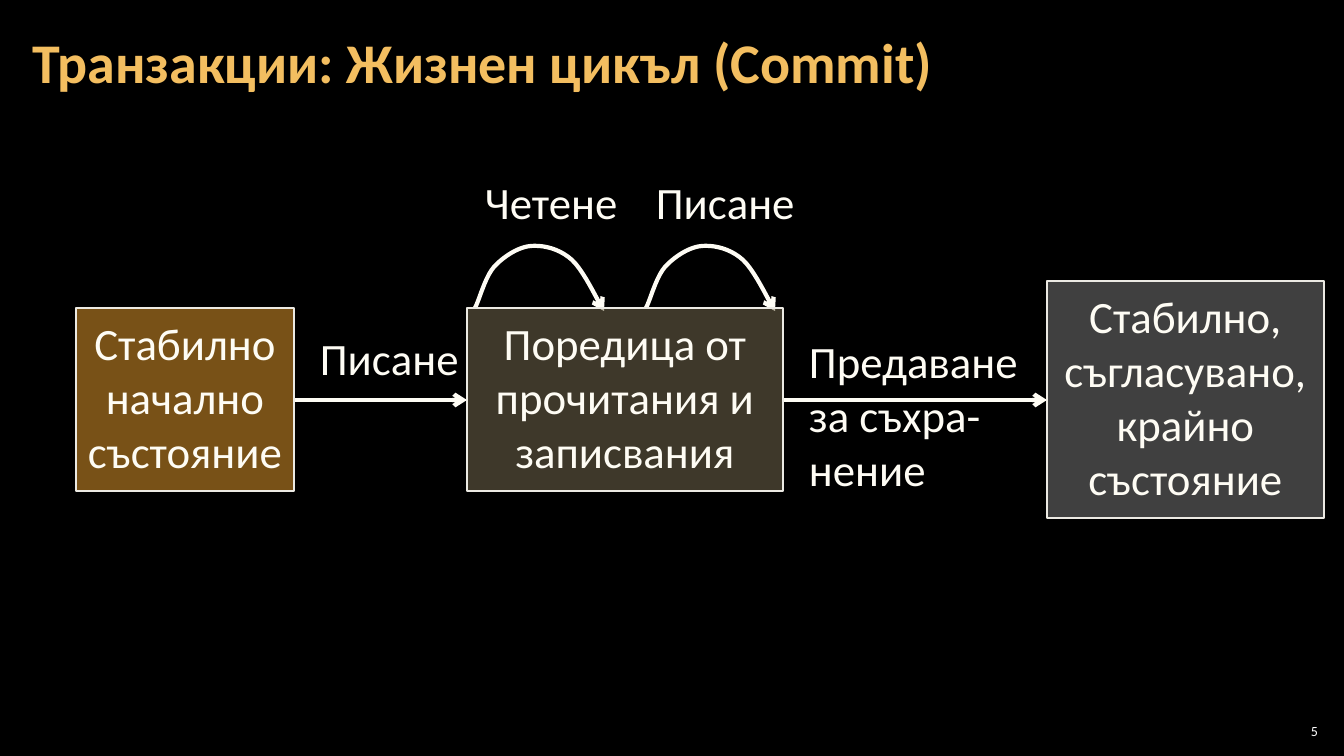
from lxml.etree import SubElement
from pptx import Presentation
from pptx.dml.color import RGBColor
from pptx.enum.shapes import MSO_CONNECTOR, MSO_SHAPE
from pptx.enum.text import MSO_ANCHOR, MSO_AUTO_SIZE, PP_ALIGN
from pptx.oxml.ns import qn
from pptx.util import Pt

PX = 914400 / 100.8
FONT = "Calibri"
COLORS = {
    "background": "000000",
    "title": "F3BE60",
    "text": "FEFCF4",
    "border": "ECEAE3",
    "number": "FFFFFF",
    "initial": "F0A22E",
    "operations": "7C7154",
    "final": "808080",
}

TITLE = "Транзакции: Жизнен цикъл (Commit)"
SLIDE_NUMBER = "5"
STATES = [
    ("initial", ["Стабилно начално състояние"], (76, 308, 218, 183), 10),
    ("final", ["Стабилно,", "съгласувано,", "крайно състояние"], (1047, 281, 277, 237), 12),
    ("operations", ["Поредица от прочитания и записвания"], (467, 308, 316, 183), 10),
]
LABELS = [
    ("Предаване\nза съхра-\nнение", (799, 329, 231, 173)),
    ("Четене", (475, 170, 154, 65)),
    ("Писане", (646, 170, 160, 65)),
    ("Писане", (310, 326, 160, 65)),
]
ARROW_Y = 400
ARROWS = [(294, 467), (783, 1047)]
LOOP_Y = 308
LOOP_STARTS = [475, 646]
LOOP_CURVES = [
    ((0, 0), (4, -7), (10, -31), (19, -41)),
    ((19, -41), (28, -51), (43, -61), (56, -62)),
    ((56, -62), (69, -63), (85, -59), (97, -48)),
    ((97, -48), (109, -37), (122, -8), (129, 3)),
]
CURVE_STEPS = 10


def px(*lengths):
    return [round(length * PX) for length in lengths]


def color(name):
    return RGBColor.from_string(COLORS[name])


def set_insets(frame, left, top, right, bottom):
    frame.margin_left, frame.margin_top, frame.margin_right, frame.margin_bottom = px(
        left, top, right, bottom
    )


def write(frame, lines, size=32, color_name="text", align=PP_ALIGN.LEFT, bold=False):
    for index, line in enumerate(lines):
        paragraph = frame.add_paragraph() if index else frame.paragraphs[0]
        paragraph.text = line
        paragraph.alignment = align
        paragraph.font.name = FONT
        paragraph.font.size = Pt(size)
        paragraph.font.bold = bold
        paragraph.font.color.rgb = color(color_name)


def style_arrow(shape):
    shape.line.color.rgb = color("text")
    shape.line.width = Pt(3)
    SubElement(shape.line._get_or_add_ln(), qn("a:tailEnd"), type="arrow")


def add_title(slide):
    title = slide.shapes.title
    title.left, title.top, title.width, title.height = px(21, 4, 1055, 122)
    frame = title.text_frame
    frame.word_wrap = True
    frame.auto_size = MSO_AUTO_SIZE.NONE
    frame.vertical_anchor = MSO_ANCHOR.MIDDLE
    set_insets(frame, 12, 4, 12, 4)
    write(frame, [TITLE], 40, "title", bold=True)
    frame.paragraphs[0].line_spacing = 0.9


def add_label(slide, text, box):
    frame = slide.shapes.add_textbox(*px(*box)).text_frame
    frame.word_wrap = False
    frame.auto_size = MSO_AUTO_SIZE.SHAPE_TO_FIT_TEXT
    write(frame, [text])


def add_arrow(slide, start, end):
    connector = slide.shapes.add_connector(
        MSO_CONNECTOR.STRAIGHT, *px(start, ARROW_Y, end, ARROW_Y)
    )
    style_arrow(connector)
    SubElement(connector._element.spPr, qn("a:effectLst"))


def curve_point(curve, t):
    weights = ((1 - t) ** 3, 3 * t * (1 - t) ** 2, 3 * t**2 * (1 - t), t**3)
    return [sum(w * point[axis] for w, point in zip(weights, curve)) for axis in (0, 1)]


def add_loop(slide, start):
    points = []
    for curve in LOOP_CURVES:
        for step in range(1, CURVE_STEPS + 1):
            x, y = curve_point(curve, step / CURVE_STEPS)
            points.append(px(start + x, LOOP_Y + y))
    builder = slide.shapes.build_freeform(*px(start, LOOP_Y))
    builder.add_line_segments(points, close=False)
    loop = builder.convert_to_shape()
    loop.shadow.inherit = False
    loop.fill.background()
    style_arrow(loop)


def add_state(slide, name, lines, box, inset):
    state = slide.shapes.add_shape(MSO_SHAPE.RECTANGLE, *px(*box))
    state.shadow.inherit = False
    state.fill.solid()
    state.fill.fore_color.rgb = color(name)
    fill_color = state._element.spPr.find(qn("a:solidFill"))[0]
    SubElement(fill_color, qn("a:alpha"), val="50000")
    state.line.color.rgb = color("border")
    state.line.width = Pt(2)
    frame = state.text_frame
    frame.word_wrap = True
    frame.auto_size = MSO_AUTO_SIZE.SHAPE_TO_FIT_TEXT
    frame.vertical_anchor = MSO_ANCHOR.TOP
    set_insets(frame, inset, 8, inset, 12)
    write(frame, lines, align=PP_ALIGN.CENTER)


def add_slide_number(slide):
    frame = slide.shapes.add_textbox(*px(1275, 720, 47, 21)).text_frame
    frame.word_wrap = True
    frame.vertical_anchor = MSO_ANCHOR.MIDDLE
    set_insets(frame, 4, 4, 4, 4)
    write(frame, [SLIDE_NUMBER], 10, "number", PP_ALIGN.RIGHT)


def main():
    presentation = Presentation()
    presentation.slide_width, presentation.slide_height = px(1344, 756)
    slide = presentation.slides.add_slide(presentation.slide_layouts[5])
    slide.background.fill.solid()
    slide.background.fill.fore_color.rgb = color("background")
    add_title(slide)
    for start, end in ARROWS:
        add_arrow(slide, start, end)
    for start in LOOP_STARTS:
        add_loop(slide, start)
    for text, box in LABELS:
        add_label(slide, text, box)
    for state in STATES:
        add_state(slide, *state)
    add_slide_number(slide)
    presentation.save("out.pptx")


if __name__ == "__main__":
    main()
